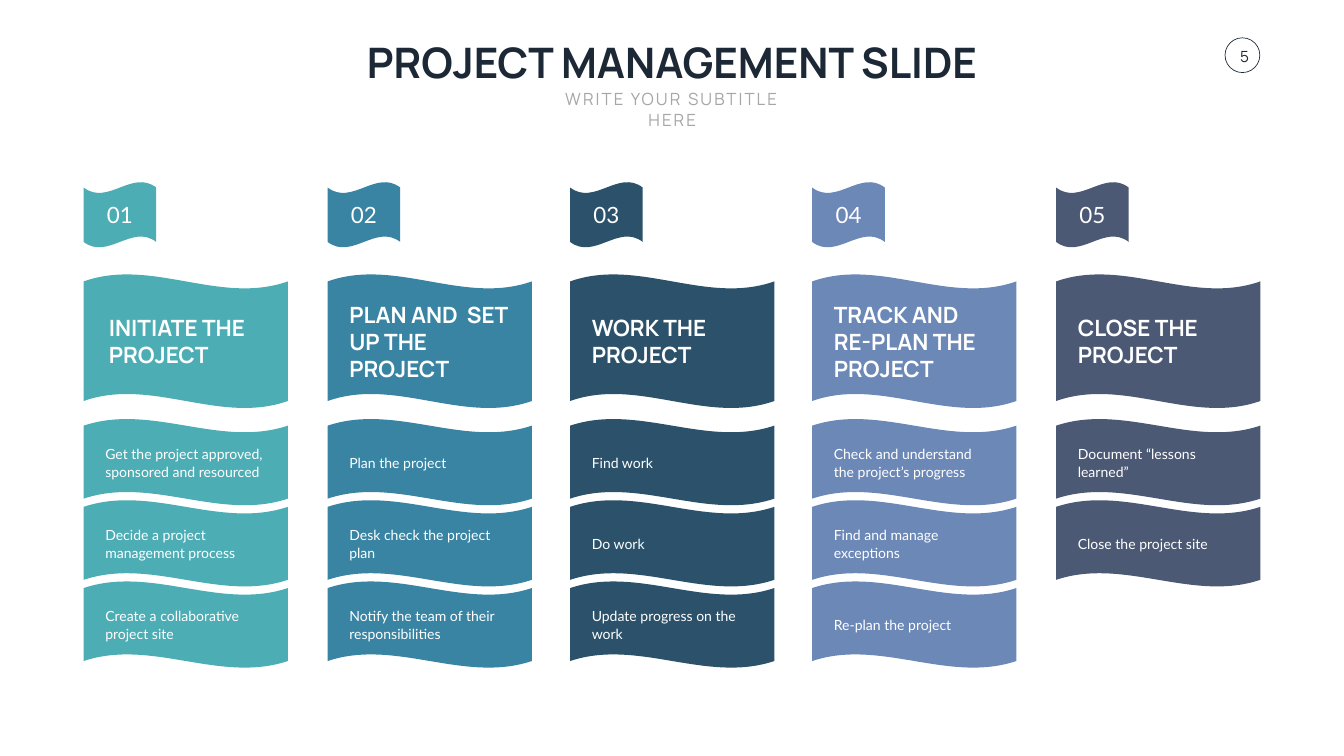
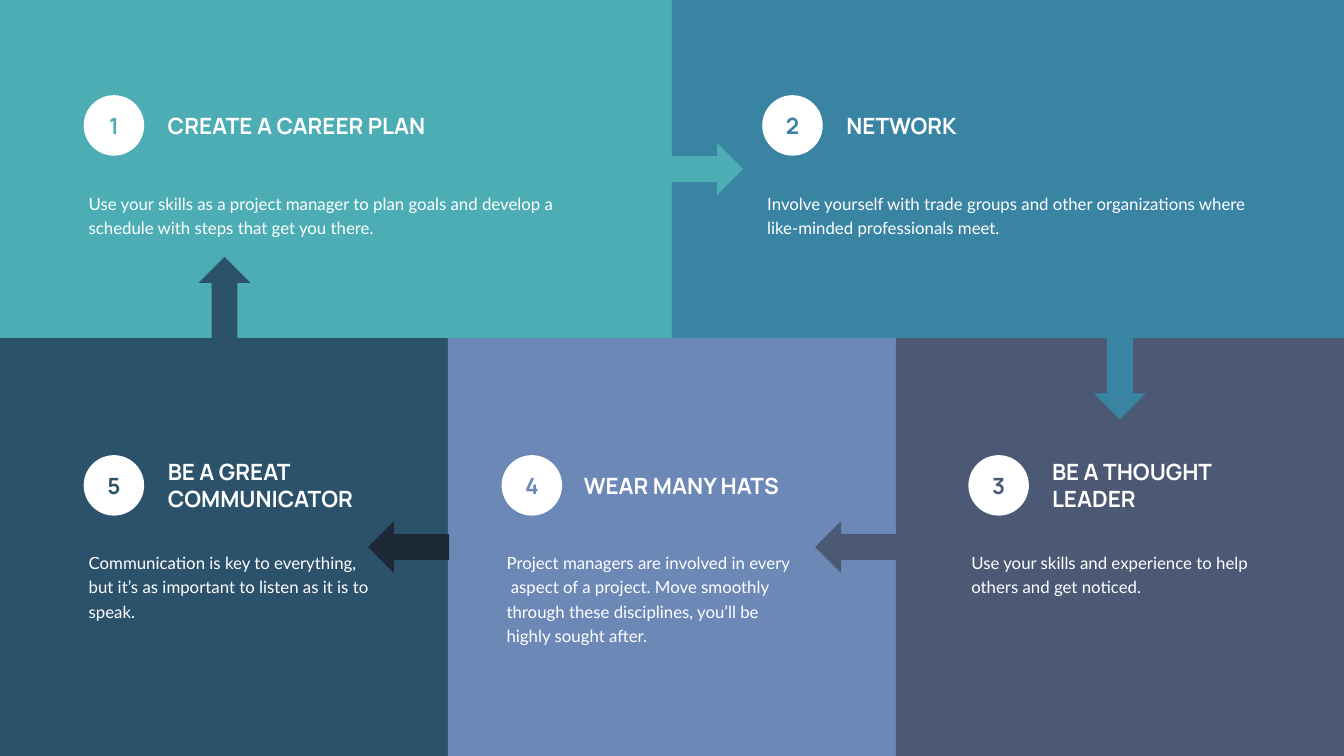
"""Build a project flag board and a five-step career panel slide."""
from dataclasses import dataclass, replace
from math import ceil
from typing import NamedTuple

from pptx import Presentation
from pptx.dml.color import RGBColor
from pptx.enum.shapes import MSO_SHAPE as Preset
from pptx.enum.text import MSO_ANCHOR as Anchor, MSO_AUTO_SIZE as AutoSize, PP_ALIGN as Align
from pptx.util import Pt

TEAL = RGBColor(0x4D, 0xAD, 0xB5)
BLUE = RGBColor(0x39, 0x84, 0xA3)
PETROL = RGBColor(0x2B, 0x52, 0x6A)
PERIWINKLE = RGBColor(0x6C, 0x88, 0xB7)
SLATE = RGBColor(0x4C, 0x59, 0x74)
NAVY = RGBColor(0x1C, 0x28, 0x35)
GREY = RGBColor(0xA6, 0xA6, 0xA6)
WHITE = RGBColor(0xFF, 0xFF, 0xFF)

SLIDE_WIDTH, SLIDE_HEIGHT = 1919.52, 1080
MARGIN = 119.5
COLUMN_WIDTH = 291.6
HEADING_LINE, ITEM_LINE, BODY_LINE = 38.9, 26, 35
PADDING = 7.2


class Box(NamedTuple):
    """A rectangle in points."""
    left: float
    top: float
    width: float
    height: float

    def middle(self, width, height):
        """Return a box of the given size with the same centre."""
        return Box(self.left + (self.width - width) / 2,
                   self.top + (self.height - height) / 2, width, height)


@dataclass(frozen=True)
class Style:
    """How a piece of text looks."""
    font: str
    size: float
    colour: RGBColor = WHITE
    bold: bool = False
    align: Align = Align.LEFT
    anchor: Anchor = Anchor.MIDDLE
    wrap: bool = True
    leading: float = 0
    tracking: int = 0


TITLE = Style("Manrope", 60, NAVY, True, Align.CENTER, Anchor.TOP, wrap=False)
SUBTITLE = Style("Manrope", 24, GREY, align=Align.CENTER, anchor=Anchor.TOP, tracking=300)
PAGE = Style("Manrope", 22, NAVY, align=Align.CENTER)
HEADING = Style("Manrope", 32, bold=True)
FLAG_NUMBER = Style("Lato", 32, align=Align.CENTER, wrap=False)
ITEM = Style("Lato", 20, leading=ITEM_LINE)
STEP_NUMBER = Style("Manrope", 32, bold=True, align=Align.CENTER, wrap=False)
STEP_HEADING = replace(HEADING, wrap=False)
BODY = Style("Lato", 24, anchor=Anchor.TOP, leading=BODY_LINE)


@dataclass(frozen=True)
class Column:
    """One project phase."""
    left: float
    colour: RGBColor
    heading: str
    items: tuple
    heading_inset: float = 23.8


@dataclass(frozen=True)
class Step:
    """One career step and the panel that holds it."""
    number: str
    colour: RGBColor
    panel: Box
    inset: float
    heading: tuple
    heading_width: float
    body: str
    body_lines: int
    heading_gap: float = 113
    body_shift: float = 0


COLUMNS = (
    Column(MARGIN, TEAL, "INITIATE THE PROJECT",
           ("Get the project approved, sponsored and resourced",
            "Decide a project management process",
            "Create a collaborative project site"), 28.8),
    Column(468, BLUE, "PLAN AND  SET UP THE PROJECT",
           ("Plan the project", "Desk check the project plan",
            "Notify the team of their responsibilities")),
    Column(814.3, PETROL, "WORK THE PROJECT",
           ("Find work", "Do work", "Update progress on the work")),
    Column(1160, PERIWINKLE, "TRACK AND RE-PLAN THE PROJECT",
           ("Check and understand the project’s progress",
            "Find and manage exceptions", "Re-plan the project")),
    Column(1508.4, SLATE, "CLOSE THE PROJECT",
           ("Document “lessons learned”", "Close the project site")),
)

ROW_SPLIT = 483
HALF, THIRD = SLIDE_WIDTH / 2, SLIDE_WIDTH / 3
LOWER_HEIGHT = SLIDE_HEIGHT - ROW_SPLIT

STEPS = (
    Step("1", TEAL, Box(0, 0, HALF, ROW_SPLIT), MARGIN, ("CREATE A CAREER PLAN",), 391.7,
         "Use your skills as a project manager to plan goals and develop a schedule "
         "with steps that get you there.", 2),
    Step("2", BLUE, Box(HALF, 0, HALF, ROW_SPLIT), 128.9, ("NETWORK",), 178.6,
         "Involve yourself with trade groups and other organizations where "
         "like-minded professionals meet.", 2),
    Step("5", PETROL, Box(0, ROW_SPLIT, THIRD, LOWER_HEIGHT), MARGIN,
         ("BE A GREAT", "COMMUNICATOR"), 294.5,
         "Communication is key to everything, but it’s as important to listen "
         "as it is to speak.", 3),
    Step("4", PERIWINKLE, Box(THIRD, ROW_SPLIT, THIRD, LOWER_HEIGHT), 76.6,
         ("WEAR MANY HATS",), 310.3,
         "Project managers are involved in every  aspect of a project. Move smoothly "
         "through these disciplines, you’ll be highly sought after.", 4, 110.2),
    Step("3", SLATE, Box(2 * THIRD, ROW_SPLIT, THIRD, LOWER_HEIGHT), 103.4,
         ("BE A THOUGHT", "LEADER"), 255.6,
         "Use your skills and experience to help others and get noticed.", 2, 112.3, -2.9),
)

ARROW_LENGTH, ARROW_WIDTH = 116, 74
ARROWS = (
    (Preset.RIGHT_ARROW, TEAL, Box(945.4, 204.5, ARROW_LENGTH, ARROW_WIDTH)),
    (Preset.LEFT_ARROW, NAVY, Box(525.6, 744.5, ARROW_LENGTH, ARROW_WIDTH)),
    (Preset.LEFT_ARROW, SLATE, Box(1164.2, 744.5, ARROW_LENGTH, ARROW_WIDTH)),
    (Preset.DOWN_ARROW, BLUE, Box(1562.4, ROW_SPLIT, ARROW_WIDTH, ARROW_LENGTH)),
    (Preset.UP_ARROW, PETROL, Box(283.7, ROW_SPLIT - ARROW_LENGTH, ARROW_WIDTH, ARROW_LENGTH)),
)


def add_shape(slide, preset, box, fill=None, line=None):
    """Add a flat preset shape with an optional fill and outline."""
    shape = slide.shapes.add_shape(preset, *map(Pt, box))
    shape.shadow.inherit = False
    if fill is None:
        shape.fill.background()
    else:
        shape.fill.solid()
        shape.fill.fore_color.rgb = fill
    if line is None:
        shape.line.fill.background()
    else:
        shape.line.color.rgb = line
        shape.line.width = Pt(1)
    return shape


def write(frame, lines, style):
    """Write one paragraph per line into a text frame."""
    frame.word_wrap = style.wrap
    frame.vertical_anchor = style.anchor
    for index, line in enumerate(lines):
        paragraph = frame.add_paragraph() if index else frame.paragraphs[0]
        paragraph.alignment = style.align
        if style.leading:
            paragraph.line_spacing = Pt(style.leading)
        run = paragraph.add_run()
        run.text = line
        run.font.name = style.font
        run.font.size = Pt(style.size)
        run.font.bold = style.bold
        run.font.color.rgb = style.colour
        if style.tracking:
            run.font._element.set("spc", str(style.tracking))


def add_text(slide, box, lines, style):
    """Add a text box that grows with its text."""
    frame = slide.shapes.add_textbox(*map(Pt, box)).text_frame
    write(frame, lines, style)
    frame.auto_size = AutoSize.SHAPE_TO_FIT_TEXT


def add_wave(slide, box, bend, colour, flipped=False):
    """Add a waving flag shape."""
    wave = add_shape(slide, Preset.WAVE, box, colour)
    wave.adjustments[0] = bend
    wave.adjustments[1] = 0
    if flipped:
        wave.element.spPr.get_or_add_xfrm().set("flipH", "1")


def add_header(slide, title, subtitle, page):
    """Add the centred title, the subtitle and the ringed page number."""
    add_shape(slide, Preset.OVAL, Box(1749.6, 54, 49.7, 49.7), line=NAVY)
    number = add_shape(slide, Preset.OVAL, Box(1753.9, 56.9, 47.5, 47.5))
    frame = number.text_frame
    frame.margin_left = frame.margin_right = frame.margin_top = frame.margin_bottom = 0
    write(frame, [page], PAGE)
    add_text(slide, Box(501.8, 48.2, 915.8, 79.9), [title], TITLE)
    add_text(slide, Box(764.6, 123.8, 391, 36), [subtitle], SUBTITLE)


def add_column(slide, number, column):
    """Add a numbered flag, its heading and the items below."""
    flag = Box(column.left, 260, 103.7, 93.6)
    add_wave(slide, flag, 0.085, column.colour, flipped=True)
    add_text(slide, flag.middle(51.8, 46.1), [f"{number:02}"], FLAG_NUMBER)

    banner = Box(column.left, 391.7, COLUMN_WIDTH, 191.5)
    add_wave(slide, banner, 0.054, column.colour)
    height = ceil(len(column.heading) / 10) * HEADING_LINE + PADDING
    place = banner.middle(244, height)._replace(left=column.left + column.heading_inset)
    add_text(slide, place, [column.heading], HEADING)

    for row, item in enumerate(column.items):
        strip = Box(column.left, 598.3 + row * 116, COLUMN_WIDTH, 123.8)
        add_wave(slide, strip, 0.079, column.colour)
        add_text(slide, strip.middle(244, ceil(len(item) / 25) * ITEM_LINE + 5), [item], ITEM)


def add_step(slide, step):
    """Add the numbered disc, heading and body of a panel."""
    is_upper = step.panel.top == 0
    disc = Box(step.panel.left + step.inset, step.panel.top + (136 if is_upper else 167.2),
               86.4, 86.4)
    add_shape(slide, Preset.OVAL, disc, WHITE)
    add_text(slide, disc.middle(34, 46.1), [step.number],
             replace(STEP_NUMBER, colour=step.colour))
    heading = disc.middle(step.heading_width, len(step.heading) * HEADING_LINE + PADDING)
    add_text(slide, heading._replace(left=disc.left + step.heading_gap),
             step.heading, STEP_HEADING)
    body = Box(disc.left + step.body_shift, disc.top + (130.3 if is_upper else 129),
               711.4 if is_upper else 422.6, step.body_lines * BODY_LINE + 4)
    add_text(slide, body, [step.body], BODY)


def build_phases(slide):
    """Fill the slide of project phases."""
    add_header(slide, "PROJECT MANAGEMENT SLIDE", "WRITE YOUR SUBTITLE HERE", "5")
    for number, column in enumerate(COLUMNS, 1):
        add_column(slide, number, column)


def build_steps(slide):
    """Fill the slide of career steps."""
    for step in STEPS:
        add_shape(slide, Preset.RECTANGLE, step.panel, step.colour)
    for preset, colour, box in ARROWS:
        add_shape(slide, preset, box, colour)
    for step in STEPS:
        add_step(slide, step)


def main():
    """Create and save the presentation."""
    presentation = Presentation()
    presentation.slide_width = Pt(SLIDE_WIDTH)
    presentation.slide_height = Pt(SLIDE_HEIGHT)
    blank = presentation.slide_layouts[6]
    for build in (build_phases, build_steps):
        build(presentation.slides.add_slide(blank))
    presentation.save("out.pptx")


if __name__ == "__main__":
    main()
